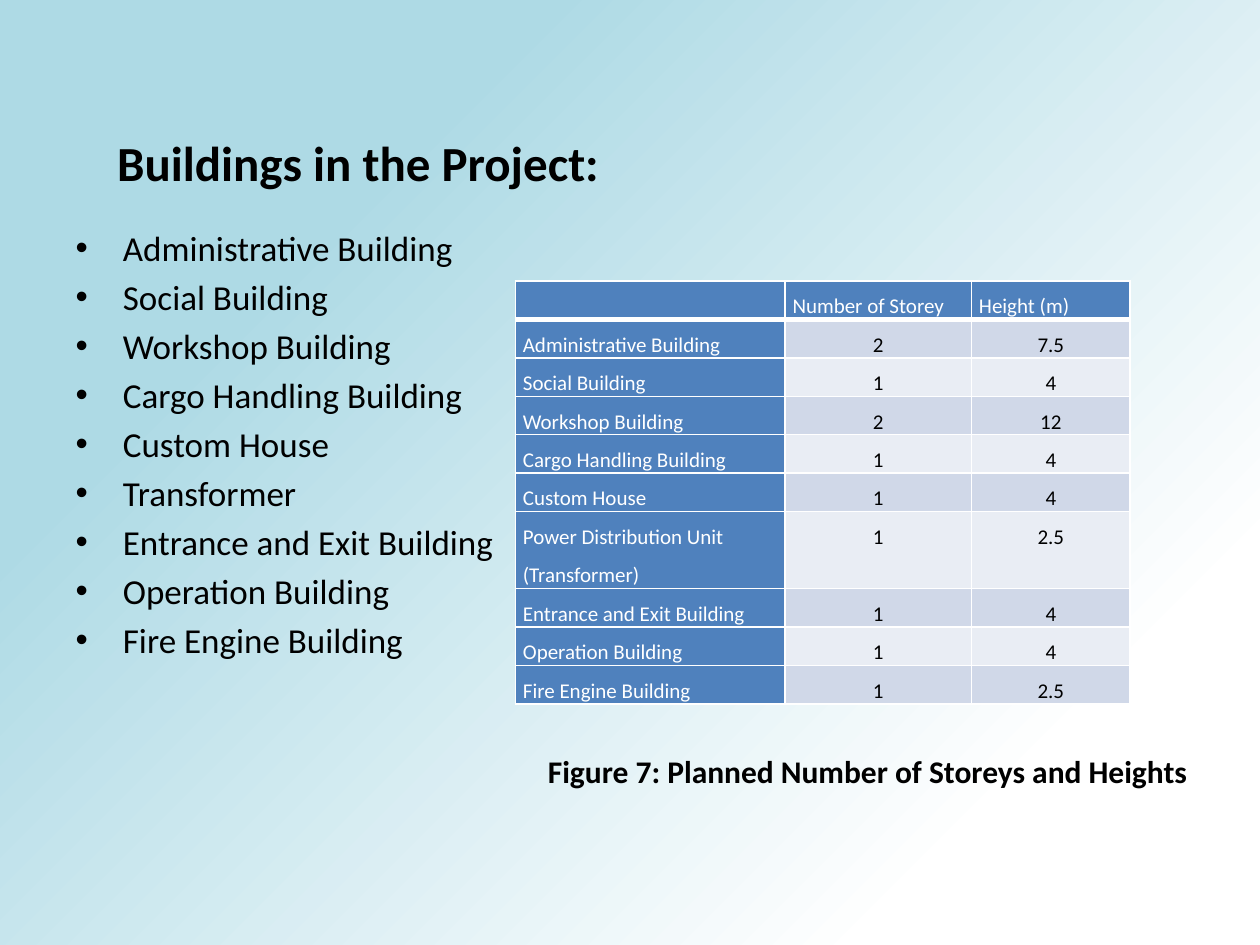
from copy import deepcopy

from lxml import etree
from pptx import Presentation
from pptx.dml.color import RGBColor
from pptx.enum.text import MSO_ANCHOR, PP_ALIGN
from pptx.oxml.ns import qn
from pptx.util import Inches, Pt

LEFT, CENTER = PP_ALIGN.LEFT, PP_ALIGN.CENTER
TOP = MSO_ANCHOR.TOP
FONT = "Calibri"
COLORS = {
    "white": "FFFFFF", "black": "000000", "blue": "4F81BD",
    "dark": "D0D8E8", "light": "E9EDF4", "sky": "AEDAE5", "pale": "C9E6EE",
}
STOPS = [(0.18, "white"), (0.75, "sky"), (1, "sky"), (1, "pale")]
LIST = [
    "Administrative Building", "Social Building", "Workshop Building",
    "Cargo Handling Building", "Custom House", "Transformer",
    "Entrance and Exit Building", "Operation Building", "Fire Engine Building",
]
HEAD = ["", "Number of Storey", "Height (m)"]
FACTS = [("2", "7.5"), ("1", "4"), ("2", "12"), ("1", "4"), ("1", "4"),
         ("1", "2.5"), ("1", "4"), ("1", "4"), ("1", "2.5")]
LONG = {"Transformer": "Power Distribution Unit (Transformer)"}
COLS = [2.14, 1.48, 1.26]
ROW = 0.3


def color(name):
    return RGBColor.from_string(COLORS[name])


def style(para, size, name="black", bold=False):
    for run in para.runs:
        font = run.font
        font.name, font.size, font.bold = FONT, Pt(size), bold
        font.color.rgb = color(name)


def place(shape, box):
    shape.left, shape.top, shape.width, shape.height = map(Inches, box)


def paint_back(slide):
    fill = slide.background.fill
    fill.gradient()
    fill.gradient_angle = 135
    stops = next(slide._element.iter(qn("a:gsLst")))
    while len(stops) < len(STOPS):
        stops.append(deepcopy(stops[0]))
    for stop, (pos, name) in zip(fill.gradient_stops, STOPS):
        stop.position = pos
        stop.color.rgb = color(name)


def add_title(slide, box):
    title = slide.shapes.title
    place(title, box)
    frame = title.text_frame
    frame.text = "Buildings in the Project:"
    frame.word_wrap = False
    frame.vertical_anchor = TOP
    para = frame.paragraphs[0]
    para.alignment = LEFT
    style(para, 28, bold=True)


def add_list(slide, box):
    body = slide.placeholders[1]
    place(body, box)
    frame = body.text_frame
    frame.text = "\n".join(LIST)
    for i, para in enumerate(frame.paragraphs):
        para.space_before = Pt(4 if i else 0)
        style(para, 20)


def edge(cell, sides, width):
    """Draw white borders on the given sides, ahead of the cell's fill."""
    props = cell._tc.get_or_add_tcPr()
    for i, side in enumerate(sides):
        line = etree.Element(qn(f"a:ln{side}"), w=str(Pt(width[i])))
        fill = etree.SubElement(line, qn("a:solidFill"))
        etree.SubElement(fill, qn("a:srgbClr"), val=COLORS["white"])
        props.insert(i, line)


def fill_cell(cell, text, row, col):
    blue = row == 0 or col == 0
    cell.fill.solid()
    cell.fill.fore_color.rgb = color(
        "blue" if blue else "dark" if row % 2 else "light")
    cell.margin_left = cell.margin_right = Inches(0.06)
    cell.margin_top = cell.margin_bottom = 0
    cell.text_frame.text = text
    para = cell.text_frame.paragraphs[0]
    para.line_spacing = 1.5
    para.alignment = LEFT if blue else CENTER
    style(para, 12, "white" if blue else "black")
    if not text:
        etree.SubElement(para._p, qn("a:endParaRPr"), sz="1200")
    edge(cell, "LRTB", (1, 1, 1, 1 if row else 3))


def add_grid(slide, left, top):
    rows = [HEAD] + [(LONG.get(name, name), *fact)
                     for name, fact in zip(LIST, FACTS)]
    grid = slide.shapes.add_table(
        len(rows), len(COLS), Inches(left), Inches(top),
        Inches(sum(COLS)), Inches(ROW * (len(rows) + 1))).table
    for col, width in zip(grid.columns, COLS):
        col.width = Inches(width)
    for r, row in enumerate(rows):
        tall = row[0] in LONG.values()
        grid.rows[r].height = Inches(ROW * (2 if tall else 1))
        for c, text in enumerate(row):
            fill_cell(grid.cell(r, c), text, r, c)


def add_caption(slide, box):
    frame = slide.shapes.add_textbox(*map(Inches, box)).text_frame
    frame.word_wrap = True
    frame.text = "Figure 7: Planned Number of Storeys and Heights"
    style(frame.paragraphs[0], 18, bold=True)


def main():
    deck = Presentation()
    deck.slide_width, deck.slide_height = Inches(10), Inches(7.5)
    slide = deck.slides.add_slide(deck.slide_layouts[1])
    paint_back(slide)
    add_list(slide, (0.5, 1.75, 9, 4.95))
    add_title(slide, (0.83, 1, 4.07, 0.57))
    add_grid(slide, 4.09, 2.23)
    add_caption(slide, (4.25, 5.92, 5.33, 0.4))
    deck.save("out.pptx")


if __name__ == "__main__":
    main()
